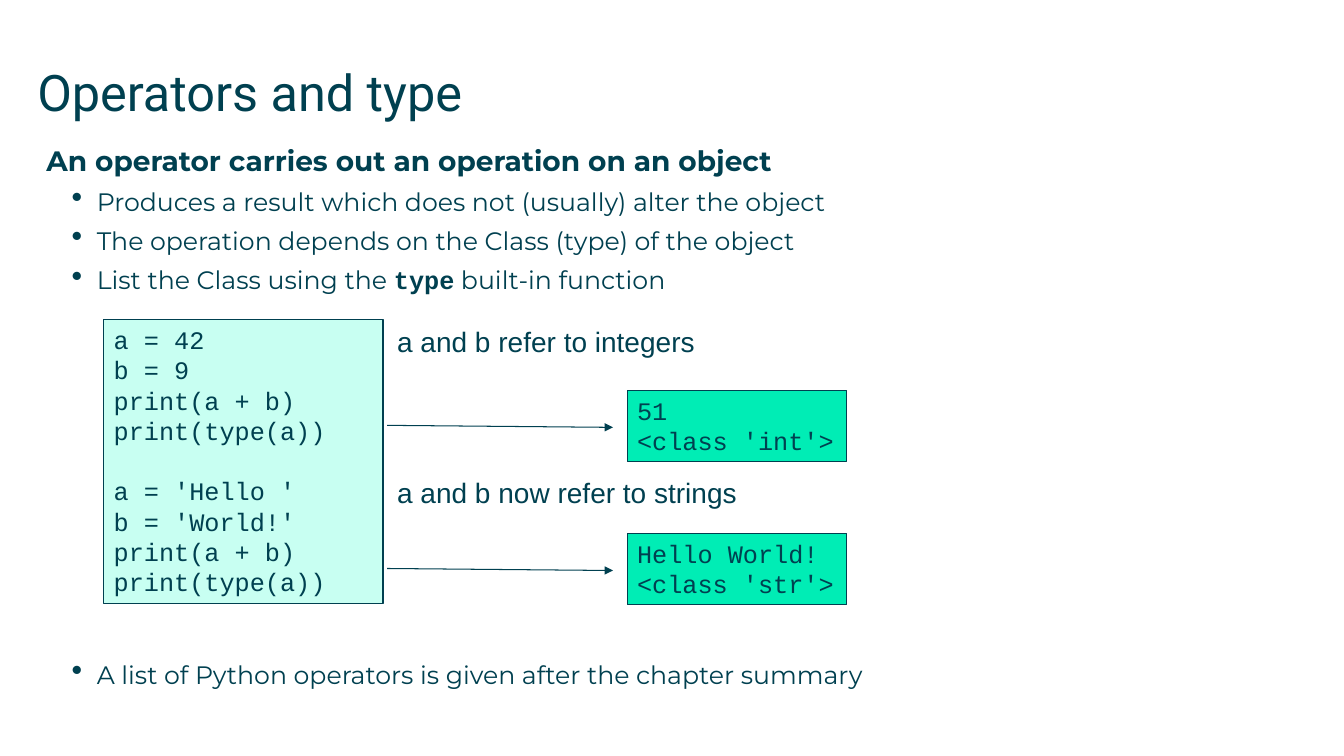
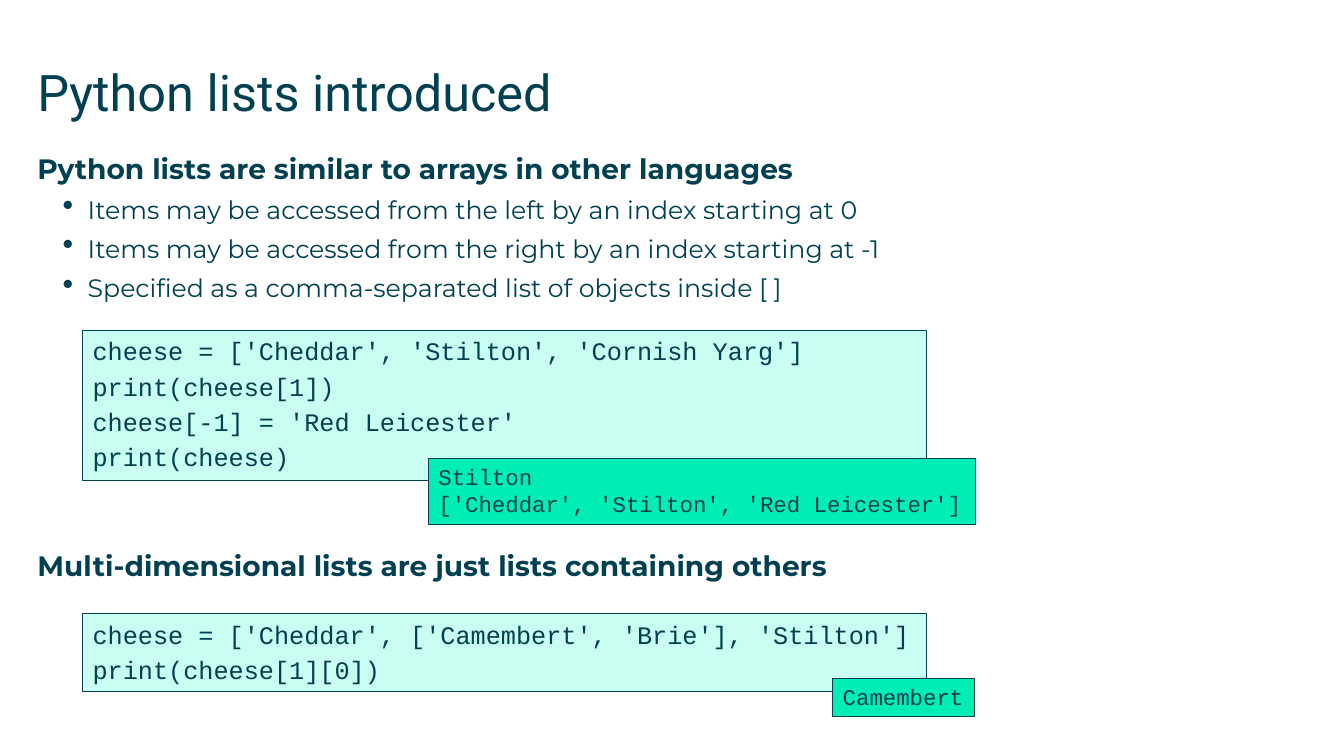
from pptx import Presentation
from pptx.dml.color import RGBColor
from pptx.enum.shapes import MSO_CONNECTOR, MSO_SHAPE
from pptx.enum.text import MSO_ANCHOR
from pptx.oxml.ns import qn
from pptx.util import Inches, Pt
from lxml.etree import SubElement

# Theme: colours, borders, spacing and type styles
THEME = {
    "ink": RGBColor(0x00, 0x40, 0x50),
    "code_fill": RGBColor(0xC8, 0xFF, 0xF2),
    "output_fill": RGBColor(0x00, 0xED, 0xB5),
    "line": Pt(0.75),
    "space_after": Pt(6.5),
    "title": {"name": "Roboto", "size": Pt(36)},
    "heading": {"name": "Montserrat", "size": Pt(20), "bold": True},
    "bullet": {"name": "Montserrat", "size": Pt(18)},
    "inline_code": {"name": "Courier New", "size": Pt(18), "bold": True},
    "code": {"name": "Courier New", "size": Pt(18)},
    "small_code": {"name": "Courier New", "size": Pt(16)},
    "label": {"name": "Arial", "size": Pt(20)},
}
TITLE_BOX = (0.37, 0.61, 12.6, 0.88)

# Content: text blocks hold (style, text) lines; `code` marks inline code
SLIDES = [
    {
        "title": "Operators and type",
        "blocks": [
            ((0.46, 1.42, 9.42, 1.6), [
                ("heading", "An operator carries out an operation on an object"),
                ("bullet", "Produces a result which does not (usually) alter the object"),
                ("bullet", "The operation depends on the Class (type) of the object"),
                ("bullet", "List the Class using the `type` built-in function"),
            ]),
            ((0.46, 6.54, 9.42, 0.4), [
                ("bullet", "A list of Python operators is given after the chapter summary"),
            ]),
        ],
        "panels": [
            {"at": (1.03, 3.17, 2.77, 2.82), "fill": "code_fill", "style": "code",
             "line": Pt(1), "gaps": {4: Pt(21.6)},
             "lines": ["a = 42", "b = 9", "print(a + b)", "print(type(a))",
                       "a = 'Hello '", "b = 'World!'", "print(a + b)", "print(type(a))"]},
            {"at": (6.22, 3.87, 2.18, 0.71), "fill": "output_fill", "style": "code",
             "lines": ["51", "<class 'int'>"]},
            {"at": (6.22, 5.29, 2.18, 0.71), "fill": "output_fill", "style": "code",
             "lines": ["Hello World!", "<class 'str'>"]},
        ],
        "labels": [
            ((3.84, 3.17, 3.78, 0.44), "a and b refer to integers"),
            ((3.84, 4.67, 3.78, 0.44), "a and b now refer to strings"),
        ],
        "arrows": [(3.84, 4.22, 6.08, 4.24), (3.84, 5.64, 6.08, 5.66)],
    },
    {
        "title": "Python lists introduced",
        "blocks": [
            ((0.37, 1.5, 12.59, 1.6), [
                ("heading", "Python lists are similar to arrays in other languages"),
                ("bullet", "Items may be accessed from the left by an index starting at 0"),
                ("bullet", "Items may be accessed from the right by an index starting at -1"),
                ("bullet", "Specified as a comma-separated list of objects inside [ ]"),
            ]),
            ((0.37, 5.44, 12.59, 0.4), [
                ("heading", "Multi-dimensional lists are just lists containing others"),
            ]),
        ],
        "panels": [
            {"at": (0.82, 6.09, 8.37, 0.77), "fill": "code_fill", "style": "code",
             "spacing": Pt(3.6),
             "lines": ["cheese = ['Cheddar', ['Camembert', 'Brie'], 'Stilton']",
                       "print(cheese[1][0])"]},
            {"at": (8.26, 6.73, 1.41, 0.38), "fill": "output_fill", "style": "small_code",
             "lines": ["Camembert"]},
            {"at": (0.82, 3.28, 8.37, 1.49), "fill": "code_fill", "style": "code",
             "spacing": Pt(3.6),
             "lines": ["cheese = ['Cheddar', 'Stilton', 'Cornish Yarg']",
                       "print(cheese[1])", "cheese[-1] = 'Red Leicester'",
                       "print(cheese)"]},
            {"at": (4.25, 4.55, 5.43, 0.65), "fill": "output_fill", "style": "small_code",
             "lines": ["Stilton", "['Cheddar', 'Stilton', 'Red Leicester']"]},
        ],
        "labels": [],
        "arrows": [],
    },
]


# Text helpers
def add_run(p, text, style):
    r = p.add_run()
    r.text = text
    for attr, value in THEME[style].items():
        setattr(r.font, attr, value)
    r.font.color.rgb = THEME["ink"]


def paragraphs(tf, count):
    return [tf.paragraphs[0]] + [tf.add_paragraph() for _ in range(count - 1)]


def add_text_box(s, at, margin=None):
    tf = s.shapes.add_textbox(*map(Inches, at)).text_frame
    tf.word_wrap = True
    if margin is not None:
        for side in ("left", "top", "right", "bottom"):
            setattr(tf, f"margin_{side}", margin)
    return tf


def set_bullet(p):
    pPr = p._p.get_or_add_pPr()
    pPr.set("marL", str(Inches(0.5)))
    pPr.set("indent", str(Inches(-0.25)))
    SubElement(pPr, qn("a:buSzPct"), val="125000")
    SubElement(pPr, qn("a:buChar"), char="•")


# Slide parts
def add_title(s, text):
    tf = add_text_box(s, TITLE_BOX, margin=0)
    add_run(tf.paragraphs[0], text, "title")


def add_block(s, at, lines):
    tf = add_text_box(s, at, margin=0)
    for p, (style, text) in zip(paragraphs(tf, len(lines)), lines):
        p.space_after = THEME["space_after"]
        if style == "bullet":
            set_bullet(p)
        for i, part in enumerate(text.split("`")):
            add_run(p, part, "inline_code" if i % 2 else style)


def add_panel(s, at, fill, style, lines, line=THEME["line"], spacing=0, gaps=None):
    sp = s.shapes.add_shape(MSO_SHAPE.RECTANGLE, *map(Inches, at))
    sp.shadow.inherit = False
    sp.fill.solid()
    sp.fill.fore_color.rgb = THEME[fill]
    sp.line.color.rgb = THEME["ink"]
    sp.line.width = line
    tf = sp.text_frame
    tf.word_wrap = True
    tf.vertical_anchor = MSO_ANCHOR.TOP
    for i, (p, text) in enumerate(zip(paragraphs(tf, len(lines)), lines)):
        p._p.get_or_add_pPr().set("algn", "l")
        if i:
            p.space_before = (gaps or {}).get(i, spacing)
        add_run(p, text, style)


def add_label(s, at, text):
    add_run(add_text_box(s, at).paragraphs[0], text, "label")


def add_arrow(s, ends):
    c = s.shapes.add_connector(MSO_CONNECTOR.STRAIGHT, *map(Inches, ends))
    c.line.color.rgb = THEME["ink"]
    c.line.width = THEME["line"]
    SubElement(c.line._get_or_add_ln(), qn("a:tailEnd"), type="triangle")
    SubElement(c._element.spPr, qn("a:effectLst"))


def main():
    prs = Presentation()
    prs.slide_width, prs.slide_height = Inches(13.33), Inches(7.5)
    for content in SLIDES:
        s = prs.slides.add_slide(prs.slide_layouts[6])
        add_title(s, content["title"])
        for at, lines in content["blocks"]:
            add_block(s, at, lines)
        for panel in content["panels"]:
            add_panel(s, **panel)
        for at, text in content["labels"]:
            add_label(s, at, text)
        for ends in content["arrows"]:
            add_arrow(s, ends)
    prs.save("out.pptx")


if __name__ == "__main__":
    main()
